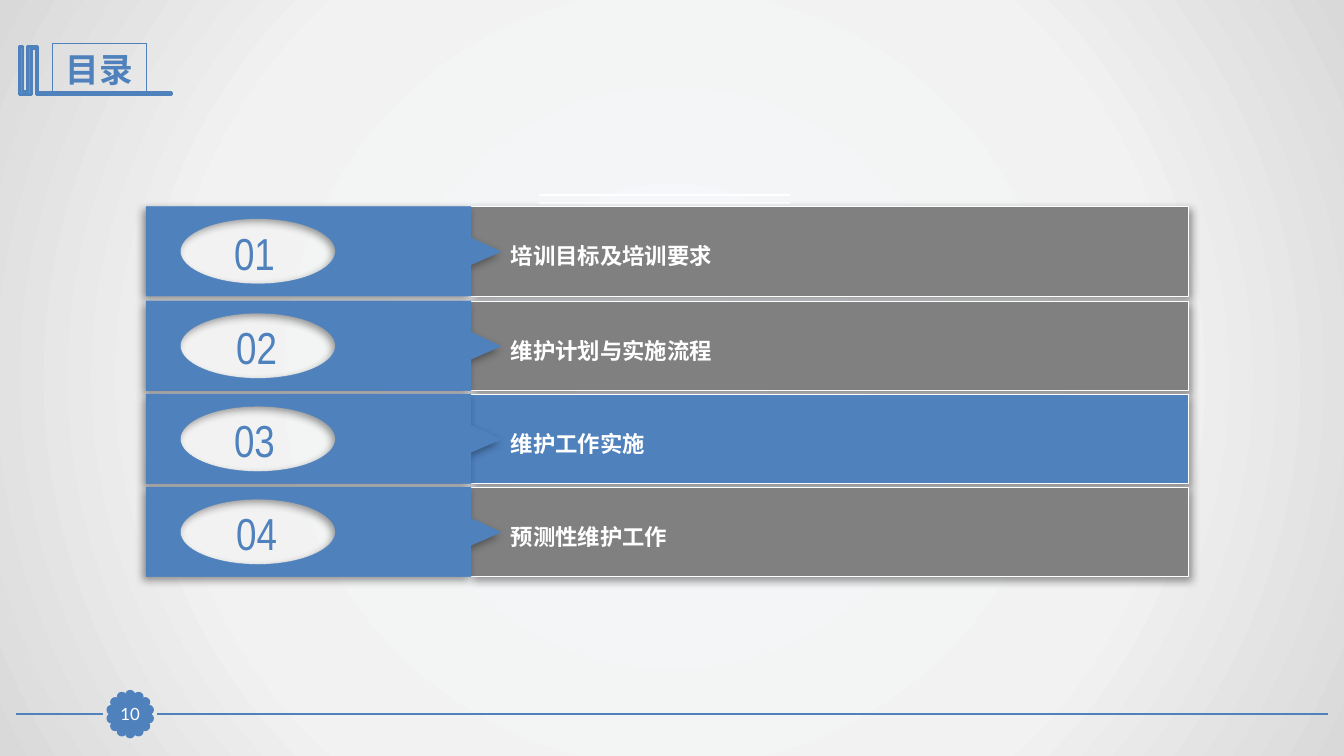
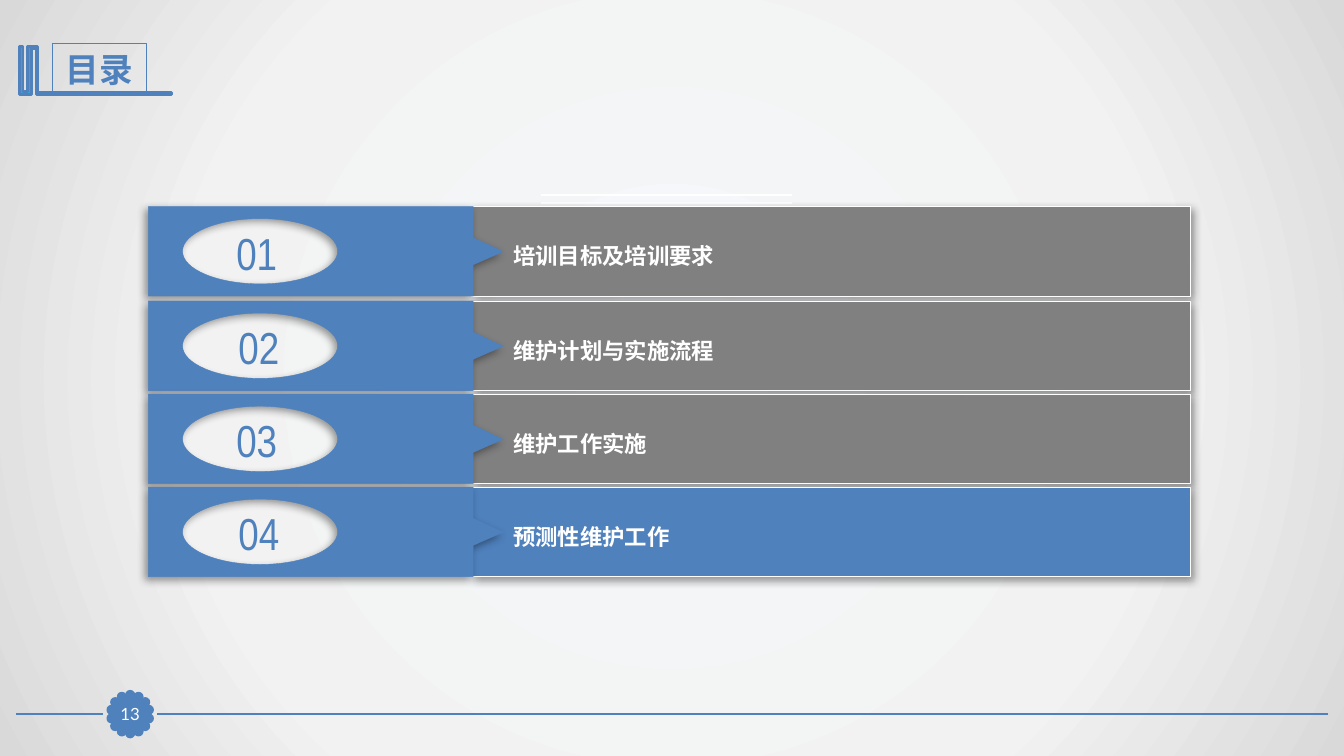
from dataclasses import dataclass
from math import cos, pi, sin
from typing import Optional

from lxml.etree import SubElement
from pptx import Presentation
from pptx.dml.color import RGBColor
from pptx.enum.shapes import MSO_CONNECTOR as Connector, MSO_SHAPE as Shape
from pptx.enum.text import MSO_ANCHOR as Anchor, MSO_AUTO_SIZE as AutoSize, PP_ALIGN as Align
from pptx.oxml import parse_xml
from pptx.oxml.ns import nsdecls, qn
from pptx.util import Pt


@dataclass(frozen=True)
class Theme:
    blue: str = "4F81BD"
    cyan: str = "28A9D6"
    grey: str = "808080"
    white: str = "FFFFFF"
    black: str = "000000"
    backdrop: tuple = ((0, "F6F9FC"), (63, "F2F2F2"), (100, "D9D9D9"))
    heading_font: str = "Arial Narrow"
    body_font: str = "Lato"
    number_size: float = 32
    title_size: float = 24
    entry_size: float = 16
    page_size: float = 12


@dataclass(frozen=True)
class Agenda:
    page: int
    current: int
    left: float


@dataclass(frozen=True)
class Row:
    entry: str
    top: float
    entry_top: float
    number_left: float
    number_width: float = 88.6


@dataclass(frozen=True)
class Box:
    left: float
    top: float
    width: float
    height: float

    def lengths(self) -> tuple:
        return Pt(self.left), Pt(self.top), Pt(self.width), Pt(self.height)


THEME = Theme()
TITLE = "目录"
ROWS = (Row("培训目标及培训要求", 147.5, 169.1, 36.7, 81.4),
        Row("维护计划与实施流程", 215, 236.6, 34.6),
        Row("维护工作实施", 281.5, 303.5, 33.1),
        Row("预测性维护工作", 347.9, 370, 34.6))
AGENDAS = (Agenda(page=10, current=3, left=104.4), Agenda(page=13, current=4, left=106))
ROW_HEIGHT, ENTRY_LINE = 64, 19.5

# Page badge
BADGE_X, BADGE_Y, BADGE_RADIUS = 93, 510.1, 13.7
PETALS, PETAL_SIZE = 14, 5.2

# Book outline left of the title
BOOK = ((26.6, 33.1), (27, 33.1), (27, 66.4), (122.8, 66.4), (122.8, 67.4),
        (25.9, 67.4), (25.9, 34.6), (22.3, 34.6), (22.3, 67.4), (13.7, 67.4),
        (13.7, 33.1), (16.4, 33.1), (16.4, 65.5), (19.9, 65.5), (19.9, 33.1))


def rgb(color: str) -> RGBColor:
    return RGBColor.from_string(color)


def paint(shape, *, fill: str, line: str, weight: float,
          shadow_angle: Optional[int] = None) -> None:
    shape.fill.solid()
    shape.fill.fore_color.rgb = rgb(fill)
    shape.line.color.rgb = rgb(line)
    shape.line.width = Pt(weight)
    shape.shadow.inherit = False
    if shadow_angle is not None:
        effects = shape.element.spPr.find(qn("a:effectLst"))
        shadow = SubElement(effects, qn("a:outerShdw"), blurRad=str(Pt(6)), dist=str(Pt(3)),
                            dir=str(shadow_angle * 60000), algn="ctr", rotWithShape="0")
        tint = SubElement(shadow, qn("a:srgbClr"), val=THEME.black)
        SubElement(tint, qn("a:alpha"), val="40000")


def write(frame, text: str, *, size: float, font: str, color: str, bold: bool = False,
          align: Align = Align.CENTER, anchor: Anchor = Anchor.MIDDLE,
          inset: Optional[float] = None, line: Optional[float] = None,
          gaps: tuple = (0,)) -> None:
    frame.word_wrap = True
    frame.auto_size = AutoSize.NONE
    frame.vertical_anchor = anchor
    if inset is not None:
        frame.margin_left = frame.margin_right = Pt(inset)
        frame.margin_top = frame.margin_bottom = Pt(inset)
    frame.text = text
    for paragraph, gap in zip(frame.paragraphs, gaps):
        properties = paragraph._p.get_or_add_pPr()
        properties.set("marL", "0")
        properties.set("indent", "0")
        SubElement(properties, qn("a:buNone"))
        paragraph.alignment = align
        paragraph.space_before = Pt(gap)
        if line is not None:
            paragraph.line_spacing = Pt(line)
        for run in paragraph.runs:
            run.font.size = Pt(size)
            run.font.name = font
            run.font.bold = bold
            run.font.color.rgb = rgb(color)


def rule(slide, start: float, end: float, y: float, *, color: str, weight: float) -> None:
    stroke = slide.shapes.add_connector(Connector.STRAIGHT, Pt(start), Pt(y), Pt(end), Pt(y))
    stroke.line.color.rgb = rgb(color)
    stroke.line.width = Pt(weight)
    SubElement(stroke.element.spPr, qn("a:effectLst"))


def outline(slide, *contours):
    paths = [[(Pt(x), Pt(y)) for x, y in contour] for contour in contours]
    builder = slide.shapes.build_freeform(*paths[0][0])
    for index, points in enumerate(paths):
        if index:
            builder.move_to(*points[0])
        builder.add_line_segments(points[1:], close=True)
    return builder.convert_to_shape()


def round_first_contour(shape) -> None:
    """Turn a leading diamond (top, left, bottom, right, top) into an ellipse."""
    path = shape.element.spPr.find(".//" + qn("a:path"))
    bend = 0.5523
    segments = list(path)[:5]
    corners = [(int(point.get("x")), int(point.get("y")))
               for segment in segments for point in segment]
    middle_x, middle_y = corners[0][0], corners[1][1]
    for segment, start, end in zip(segments[1:], corners, corners[1:]):
        # The control points lean towards the corner of the enclosing box.
        corner = (start[0] + end[0] - middle_x, start[1] + end[1] - middle_y)
        controls = [tuple(round(a + (b - a) * bend) for a, b in zip(near, corner))
                    for near in (start, end)]
        curve = path.makeelement(qn("a:cubicBezTo"))
        for x, y in (*controls, end):
            SubElement(curve, qn("a:pt"), x=str(x), y=str(y))
        path.replace(segment, curve)


def set_backdrop(master) -> None:
    master.background.fill.gradient()
    default = master.element.find(".//" + qn("p:bgPr")).find(qn("a:gradFill"))
    stops = "".join(f'<a:gs pos="{place * 1000}"><a:srgbClr val="{color}"/></a:gs>'
                    for place, color in THEME.backdrop)
    radial = parse_xml(
        f'<a:gradFill {nsdecls("a")} rotWithShape="1"><a:gsLst>{stops}</a:gsLst>'
        '<a:path path="circle"><a:fillToRect l="50000" t="50000" r="50000" b="50000"/>'
        '</a:path></a:gradFill>')
    default.getparent().replace(default, radial)


def draw_frame(slide) -> None:
    # Footer rules, scalloped badge edge and book
    for start, end in ((948.8, 112.5), (73.4, 11.1)):
        rule(slide, start, end, 510.1, color=THEME.blue, weight=1.25)
    for index in range(PETALS):
        angle = 2 * pi * index / PETALS
        petal = Box(BADGE_X + BADGE_RADIUS * sin(angle) - PETAL_SIZE / 2,
                    BADGE_Y - BADGE_RADIUS * cos(angle) - PETAL_SIZE / 2,
                    PETAL_SIZE, PETAL_SIZE)
        paint(slide.shapes.add_shape(Shape.OVAL, *petal.lengths()),
              fill=THEME.blue, line=THEME.blue, weight=2)
    paint(outline(slide, BOOK), fill=THEME.cyan, line=THEME.blue, weight=2)


def move_frame_to_layout(slide, layout) -> None:
    """Hand the parts drawn on the slide to its layout, so that all slides share them."""
    tree = layout.element.cSld.spTree
    for number, shape in enumerate([s for s in slide.shapes if not s.is_placeholder], 101):
        next(shape.element.iter(qn("p:cNvPr"))).set("id", str(number))
        tree.append(shape.element)


def draw_title(slide) -> None:
    title = slide.shapes.title
    title.left, title.top, title.width, title.height = Box(37.4, 31, 67, 36.3).lengths()
    title.line.color.rgb = rgb(THEME.blue)
    title.line.width = Pt(0.75)
    write(title.text_frame, TITLE, size=THEME.title_size, font=THEME.heading_font,
          color=THEME.blue, bold=True)


def draw_page_number(slide, page: int) -> None:
    centre = Box(BADGE_X - 11.5, BADGE_Y - 11, 23, 22)
    badge = slide.shapes.add_shape(Shape.RECTANGLE, *centre.lengths())
    paint(badge, fill=THEME.blue, line=THEME.blue, weight=0.75)
    write(badge.text_frame, str(page), size=THEME.page_size, font=THEME.body_font,
          color=THEME.white, inset=0)


def draw_row(slide, row: Row, number: int, left: float, is_current: bool) -> None:
    top = row.top
    bar_box = Box(left + 230.4, top, 513.8, ROW_HEIGHT)
    bar = slide.shapes.add_shape(Shape.RECTANGLE, *bar_box.lengths())
    paint(bar, fill=THEME.blue if is_current else THEME.grey, line=THEME.white,
          weight=0.25, shadow_angle=45)

    # Arrow tag with an oval window
    x, y = left + 79.8, top + 32
    window = [(x, y - 23.3), (x - 55.4, y), (x, y + 23.3), (x + 55.4, y), (x, y - 23.3)]
    right, bottom = left + 232, top + ROW_HEIGHT
    arrow = [(left, top), (right, top), (right, top + 22.3), (left + 253.4, top + 32.3),
             (right, top + 41.7), (right, bottom), (left, bottom)]
    tag = outline(slide, window, arrow)
    round_first_contour(tag)
    paint(tag, fill=THEME.blue, line=THEME.blue, weight=0.25, shadow_angle=135)

    label_box = Box(left + row.number_left, top + 9.8, row.number_width, 46)
    label = slide.shapes.add_textbox(*label_box.lengths())
    write(label.text_frame, f"{number:02}", size=THEME.number_size,
          font=THEME.heading_font, color=THEME.blue)


def draw_entries(slide, left: float) -> None:
    body = slide.placeholders[1]
    first, last = ROWS[0].entry_top, ROWS[-1].entry_top
    area = Box(left + 253.4, first, 490, last - first + 27)
    body.left, body.top, body.width, body.height = area.lengths()
    gaps = (0, *(below.entry_top - above.entry_top - ENTRY_LINE
                 for above, below in zip(ROWS, ROWS[1:])))
    write(body.text_frame, "\n".join(row.entry for row in ROWS), size=THEME.entry_size,
          font=THEME.body_font, color=THEME.white, bold=True, align=Align.LEFT,
          anchor=Anchor.TOP, line=ENTRY_LINE, gaps=gaps)
    body.element.getparent().append(body.element)  # in front of the bars


def draw_agenda(slide, agenda: Agenda) -> None:
    draw_title(slide)
    draw_page_number(slide, agenda.page)
    for y in (139.5, 145.2):
        rule(slide, agenda.left + 280.8, agenda.left + 460, y, color=THEME.white, weight=1.5)
    for number, row in enumerate(ROWS, 1):
        draw_row(slide, row, number, agenda.left, number == agenda.current)
    draw_entries(slide, agenda.left)


def main() -> None:
    deck = Presentation()
    deck.slide_width, deck.slide_height = Pt(960), Pt(540)
    set_backdrop(deck.slide_master)
    layout = deck.slide_layouts[1]
    slides = [deck.slides.add_slide(layout) for _ in AGENDAS]
    draw_frame(slides[0])
    move_frame_to_layout(slides[0], layout)
    for slide, agenda in zip(slides, AGENDAS):
        draw_agenda(slide, agenda)
    deck.save("out.pptx")


if __name__ == "__main__":
    main()
